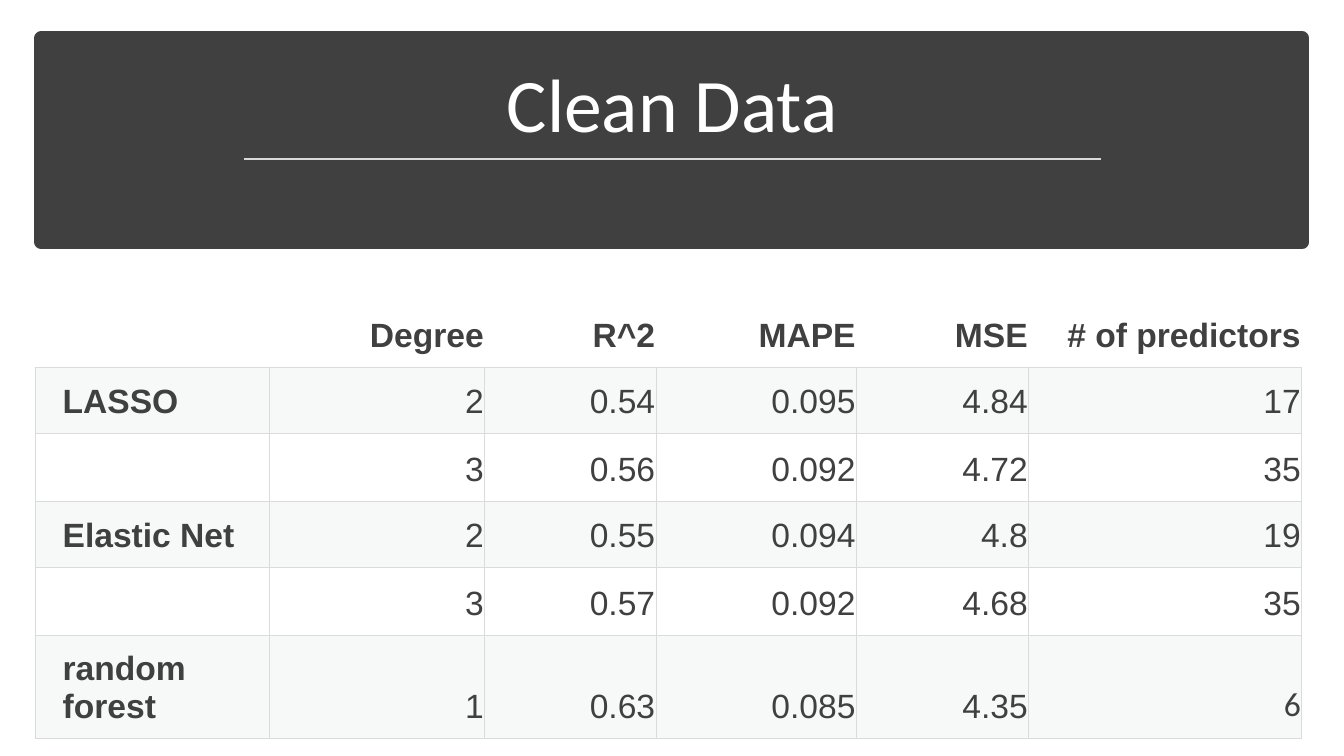
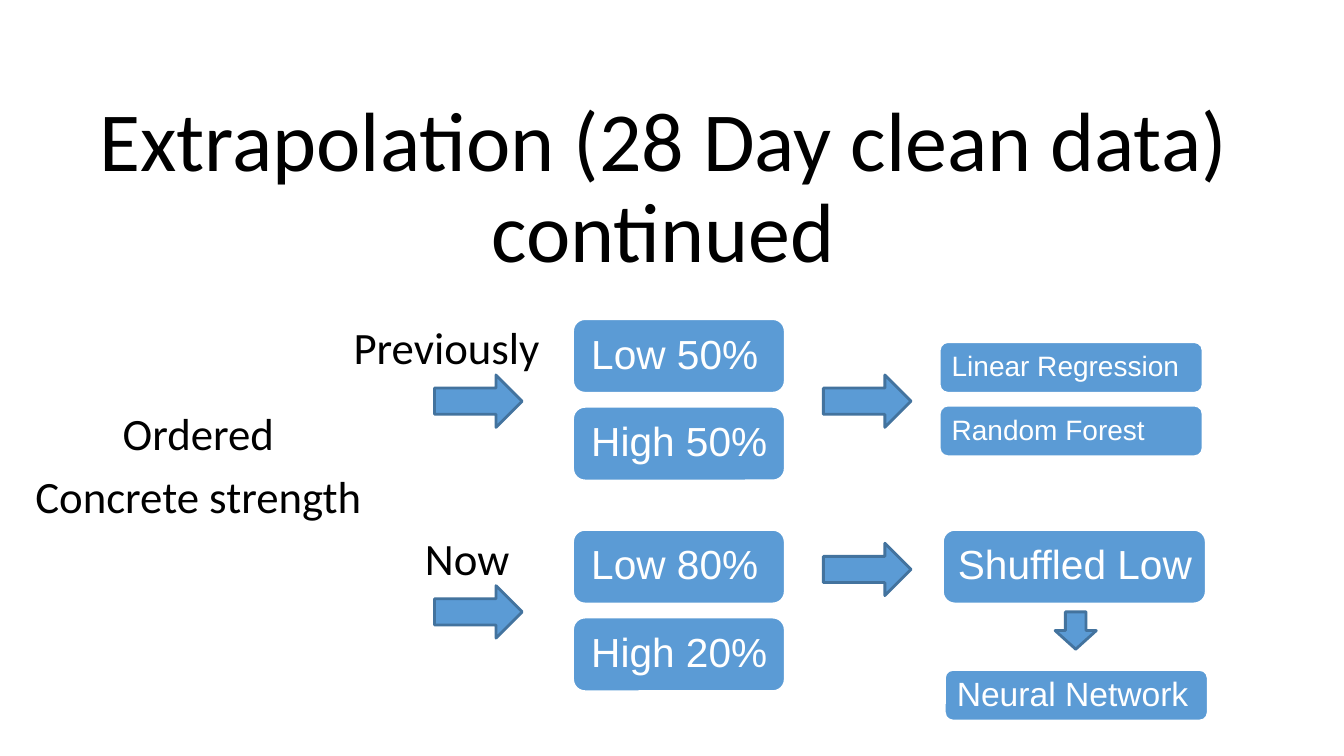
"""Build two slides: a table of clean-data model scores and an extrapolation flow diagram."""
import dataclasses

import lxml.etree
import pptx
import pptx.dml.color
import pptx.enum.shapes
import pptx.enum.text
import pptx.oxml.ns
import pptx.util

Cm, Pt = pptx.util.Cm, pptx.util.Pt
SHAPE = pptx.enum.shapes.MSO_SHAPE
ALIGN = pptx.enum.text.PP_ALIGN
ANCHOR = pptx.enum.text.MSO_ANCHOR


@dataclasses.dataclass(frozen=True)
class Theme:
    dark: str = "404040"
    rule: str = "D9D9D9"
    grid: str = "D8DCDC"
    stripe: str = "F7F8F8"
    blue: str = "5B9BD5"
    blue_edge: str = "43739E"
    white: str = "FFFFFF"
    black: str = "000000"
    text_font: str = "Calibri"
    data_font: str = "Arial"
    band_title: int = 54
    title: int = 60
    label: int = 32
    box: int = 29
    table: int = 24
    small_box: int = 20


T = Theme()

SCORES_TITLE = "Clean Data"
SCORES = [
    ("", "Degree", "R^2", "MAPE", "MSE", "# of predictors"),
    ("LASSO", "2", "0.54", "0.095", "4.84", "17"),
    ("", "3", "0.56", "0.092", "4.72", "35"),
    ("Elastic Net", "2", "0.55", "0.094", "4.8", "19"),
    ("", "3", "0.57", "0.092", "4.68", "35"),
    ("random forest", "1", "0.63", "0.085", "4.35", "6"),
]
COLUMN_WIDTHS = (5.89, 5.44, 4.32, 5.05, 4.34, 6.88)
ROW_HEIGHTS = (1.7, 1.65, 1.72, 1.67, 1.7, 2.6)
TEXT_FONT_CELL = (5, 5)

FLOW_TITLE = "Extrapolation (28 Day clean data) continued"
FLOW_START = ("Ordered", "Concrete strength")
SPLITS = [
    ("Previously", 8.66, 8.03, ("Low 50%", "High 50%")),
    ("Now", 10.46, 13.34, ("Low 80%", "High 20%")),
]
MODELS = ("Linear Regression", "Random Forest")

SPLIT_LEFT, SPLIT_PITCH = 14.43, 2.21
MODEL_LEFT, MODEL_TOP, MODEL_PITCH = 23.67, 8.61, 1.6
BOX_HEIGHT, SMALL_HEIGHT = 1.88, 1.3
SPLIT_WIDTH, MODEL_WIDTH = 5.36, 6.65


def rgb(color):
    return pptx.dml.color.RGBColor.from_string(color)


def at(left, top, width, height):
    return [Cm(v) for v in (left, top, width, height)]


def write(p, text, size, color, font=T.text_font, bold=False, align=ALIGN.LEFT, spacing=None):
    p.alignment = align
    if spacing:
        p.line_spacing = spacing
    r = p.add_run()
    r.text = text
    r.font.size, r.font.name, r.font.bold = Pt(size), font, bold
    r.font.color.rgb = rgb(color)


def place(sp, box, anchor):
    sp.left, sp.top, sp.width, sp.height = at(*box)
    tf = sp.text_frame
    tf.word_wrap = True
    tf.auto_size = pptx.enum.text.MSO_AUTO_SIZE.NONE
    tf.vertical_anchor = anchor
    return tf


def add_title(s, text, box, size, color):
    tf = place(s.shapes.title, box, ANCHOR.BOTTOM)
    write(tf.paragraphs[0], text, size, color, align=ALIGN.CENTER, spacing=0.9)


def add_shape(s, kind, box, fill, line, weight):
    sp = s.shapes.add_shape(kind, *at(*box))
    sp.shadow.inherit = False
    sp.fill.solid()
    sp.fill.fore_color.rgb = rgb(fill)
    sp.line.color.rgb = rgb(line)
    sp.line.width = Pt(weight)
    return sp


def add_box(s, text, box, size, inset):
    sp = add_shape(s, SHAPE.ROUNDED_RECTANGLE, box, T.blue, T.white, 2)
    tf = place(sp, box, ANCHOR.MIDDLE)
    tf.margin_left = Cm(inset)
    tf.margin_right = tf.margin_top = tf.margin_bottom = 0
    write(tf.paragraphs[0], text, size, T.white, T.data_font, spacing=0.9)


def add_arrow(s, left, top, kind=SHAPE.RIGHT_ARROW, width=2.21, height=1.32):
    add_shape(s, kind, (left, top, width, height), T.blue, T.blue_edge, 2)


def add_rule(s, left, right, y):
    line = s.shapes.add_connector(
        pptx.enum.shapes.MSO_CONNECTOR.STRAIGHT, Cm(left), Cm(y), Cm(right), Cm(y))
    line.line.color.rgb = rgb(T.rule)
    line.line.width = Pt(1.75)
    lxml.etree.SubElement(line._element.spPr, pptx.oxml.ns.qn("a:effectLst"))


def set_borders(cell, sides):
    qn = pptx.oxml.ns.qn
    tc_pr = cell._tc.get_or_add_tcPr()
    for side in "LRTB":
        ln = lxml.etree.SubElement(tc_pr, qn("a:ln" + side), w=str(Pt(0.75)))
        if side in sides:
            fill = lxml.etree.SubElement(ln, qn("a:solidFill"))
            lxml.etree.SubElement(fill, qn("a:srgbClr"), val=T.grid)
        else:
            lxml.etree.SubElement(ln, qn("a:noFill"))


def fill_cell(cell, row, col, text):
    set_borders(cell, "LRTB" if row else "B")
    if row % 2:
        cell.fill.solid()
        cell.fill.fore_color.rgb = rgb(T.stripe)
    else:
        cell.fill.background()
    cell.vertical_anchor = ANCHOR.BOTTOM
    cell.margin_left, cell.margin_right = Cm(0.69), Cm(0.03)
    cell.margin_top = cell.margin_bottom = Cm(0.33)
    if text:
        write(cell.text_frame.paragraphs[0], text, T.table, T.dark,
              T.text_font if (row, col) == TEXT_FONT_CELL else T.data_font,
              bold=row == 0 or col == 0, align=ALIGN.RIGHT if col else ALIGN.LEFT)


def add_scores_table(s):
    table = s.shapes.add_table(
        len(SCORES), len(COLUMN_WIDTHS),
        *at(0.89, 7.57, sum(COLUMN_WIDTHS), sum(ROW_HEIGHTS))).table
    table.first_row = table.horz_banding = False
    for column, width in zip(table.columns, COLUMN_WIDTHS):
        column.width = Cm(width)
    for row, (values, height) in enumerate(zip(SCORES, ROW_HEIGHTS)):
        table.rows[row].height = Cm(height)
        for col, text in enumerate(values):
            fill_cell(table.cell(row, col), row, col, text)


def build_scores(prs):
    s = prs.slides.add_slide(prs.slide_layouts[5])
    band = add_shape(s, SHAPE.RECTANGLE, (1.04, 0.97, 31.78, 5.13), T.dark, T.dark, 10)
    s.shapes.title._element.addprevious(band._element)
    add_title(s, SCORES_TITLE, (1.47, 1.3, 30.94, 2.59), T.band_title, T.white)
    add_rule(s, 6.15, 27.74, 4.01)
    add_scores_table(s)


def build_flow(prs):
    s = prs.slides.add_slide(prs.slide_layouts[0])
    add_title(s, FLOW_TITLE, (2.06, 0.56, 29.31, 6.63), T.title, T.black)

    tf = place(s.placeholders[1], (0.1, 10.26, 9.8, 4.6), ANCHOR.TOP)
    for i, text in enumerate(FLOW_START):
        p = tf.add_paragraph() if i else tf.paragraphs[0]
        p.space_before = Pt(10)
        write(p, text, T.label, T.black, align=ALIGN.CENTER, spacing=0.9)

    for label, label_left, top, parts in SPLITS:
        for i, part in enumerate(parts):
            box = (SPLIT_LEFT, top + i * SPLIT_PITCH, SPLIT_WIDTH, BOX_HEIGHT)
            add_box(s, part, box, T.box, 0.38)
        add_arrow(s, 10.95, top + 1.42)
        box = (label_left, top - 0.1, SPLIT_LEFT - label_left, 1.63)
        tf = place(s.shapes.add_textbox(*at(*box)), box, ANCHOR.TOP)
        write(tf.paragraphs[0], label, T.label, T.black)

    for i, model in enumerate(MODELS):
        box = (MODEL_LEFT, MODEL_TOP + i * MODEL_PITCH, MODEL_WIDTH, SMALL_HEIGHT)
        add_box(s, model, box, T.small_box, 0.25)
    add_box(s, "Shuffled Low", (23.75, 13.34, MODEL_WIDTH, BOX_HEIGHT), T.box, 0.3)
    add_box(s, "Neural Network", (23.8, 16.87, MODEL_WIDTH, SMALL_HEIGHT), T.table, 0.25)
    for top in (9.45, 13.69):
        add_arrow(s, 20.75, top)
    add_arrow(s, 26.59, 15.42, SHAPE.DOWN_ARROW, 1.04, 0.94)


def main():
    prs = pptx.Presentation()
    prs.slide_width, prs.slide_height = Cm(33.87), Cm(19.05)
    build_scores(prs)
    build_flow(prs)
    prs.save("out.pptx")


if __name__ == "__main__":
    main()
